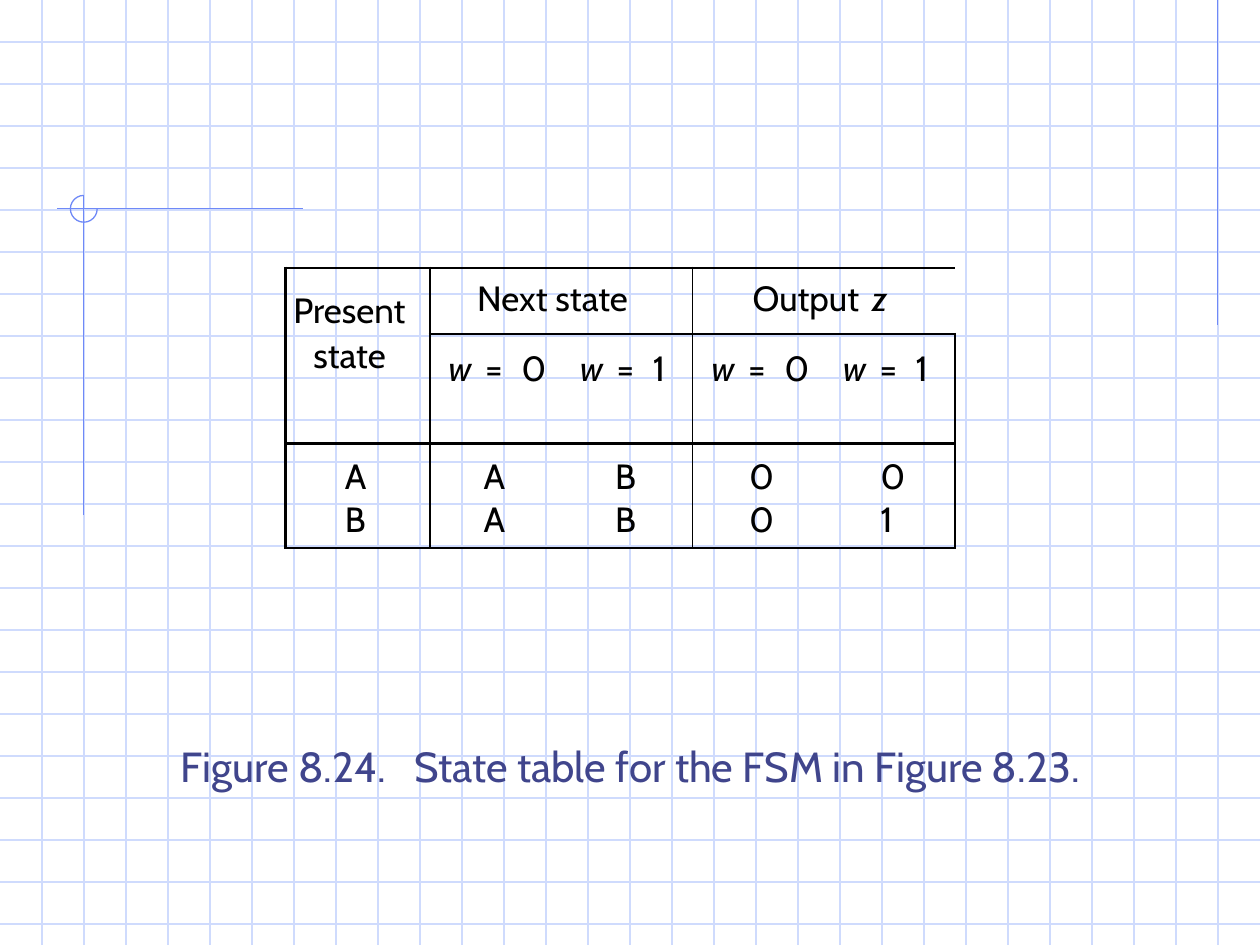
from lxml.etree import SubElement as Sub
from pptx import Presentation as Deck
from pptx.dml.color import RGBColor as Rgb
from pptx.enum.shapes import MSO_CONNECTOR as Link, MSO_SHAPE as Form
from pptx.enum.text import MSO_ANCHOR as Anchor, PP_ALIGN as Align
from pptx.oxml.ns import qn
from pptx.util import Cm, Pt

THEME = {
    "font": "Cabin", "grid": "CFDBFD", "accent": "6F89F7",
    "ink": "000000", "title": "40458C",
    "cell": 20, "head": 24, "hair": 0.75, "thin": 1.25, "thick": 1.75,
}
ITALIC = ("w", "z")

deck = Deck()
deck.slide_width, deck.slide_height = Cm(25.4), Cm(19.05)
slide = deck.slides.add_slide(deck.slide_layouts[5])
shapes = slide.shapes


def rule(x1, y1, x2, y2, color):
    line = shapes.add_connector(Link.STRAIGHT, Cm(x1), Cm(y1), Cm(x2), Cm(y2))
    line.line.color.rgb = Rgb.from_string(THEME[color])
    line.line.width = Pt(THEME["hair"])
    Sub(line.element.spPr, qn("a:effectLst"))


def write(cell, text, left, top, tabs=()):
    """Fill a cell; a newline starts a paragraph, a tab moves to the next stop."""
    pads = {"margin_left": left, "margin_top": top,
            "margin_right": 0, "margin_bottom": 0}
    for name, size in pads.items():
        setattr(cell, name, Cm(size))
    cell.vertical_anchor = Anchor.TOP
    frame = cell.text_frame
    for row, part in enumerate(text.split("\n")):
        para = frame.add_paragraph() if row else frame.paragraphs[0]
        if row:
            para.space_before = Pt(1.6)
        if tabs:
            stops = Sub(para._p.get_or_add_pPr(), qn("a:tabLst"))
            for stop in tabs:
                Sub(stops, qn("a:tab"), pos=str(Cm(stop)), algn="l")
        for spot, word in enumerate(part.split("\t")):
            run = para.add_run()
            run.text = "\t" + word if spot else word
            look = {"name": THEME["font"], "size": Pt(THEME["cell"]),
                    "italic": word in ITALIC}
            for name, value in look.items():
                setattr(run.font, name, value)
            run.font.color.rgb = Rgb.from_string(THEME["ink"])


# Graph paper: three squares to the inch
STEP = 2.54 / 3
for n in range(1, 23):
    rule(0, n * STEP, 25.4, n * STEP, "grid")
for n in range(1, 30):
    rule(n * STEP, 0, n * STEP, 19.05, "grid")

# Accent lines and the open ring where two of them cross
for ends in ((24.55, 0, 24.55, 6.55), (6.1, 4.21, 1.14, 4.21),
             (1.69, 3.94, 1.69, 10.39)):
    rule(*ends, "accent")
ring = shapes.add_shape(Form.ARC, Cm(1.42), Cm(3.94), Cm(0.54), Cm(0.54))
ring.adjustments[0] = 0
ring.adjustments[1] = 162  # 270 degrees
ring.shadow.inherit = False
ring.fill.background()
ring.line.color.rgb = Rgb.from_string(THEME["accent"])
ring.line.width = Pt(THEME["hair"])

# State table
WIDE = (2.9, 2.65, 2.65, 2.65, 2.65)
HIGH = (1.33, 1.29, 1.1, 1)
frame = shapes.add_table(len(HIGH), len(WIDE), Cm(5.76), Cm(5.4),
                         Cm(sum(WIDE)), Cm(sum(HIGH)))
table = frame.table
table.first_row = table.horz_banding = False
for col, size in zip(table.columns, WIDE):
    col.width = Cm(size)
for row, size in zip(table.rows, HIGH):
    row.height = Cm(size)

# Borders by edge number, counted from the left and from the top
UPRIGHT = {0: "thick", 1: "thin", 3: "thin", 5: "thin"}
LEVEL = {0: "thick", 2: "thick", 4: "thick"}
for r in range(len(HIGH)):
    for c in range(len(WIDE)):
        cell = table.cell(r, c)
        flat = LEVEL | ({1: "thin"} if c else {})
        props = cell._tc.get_or_add_tcPr()
        sides = {"lnL": UPRIGHT.get(c), "lnR": UPRIGHT.get(c + 1),
                 "lnT": flat.get(r), "lnB": flat.get(r + 1)}
        for side, kind in sides.items():
            edge = Sub(props, qn("a:" + side))
            if kind:
                edge.set("w", str(Pt(THEME[kind])))
                paint = Sub(edge, qn("a:solidFill"))
                Sub(paint, qn("a:srgbClr"), val=THEME["ink"])
            else:
                Sub(edge, qn("a:noFill"))
        cell.fill.background()

# Headings
for (r1, c1), (r2, c2) in (((0, 0), (1, 0)), ((0, 1), (0, 2)), ((0, 3), (0, 4))):
    table.cell(r1, c1).merge(table.cell(r2, c2))
stub = table.cell(0, 0)
write(stub, "Present\nstate", 0, 0.44)
stub.margin_right = Cm(0.33)
for para in stub.text_frame.paragraphs:
    para.alignment = Align.CENTER
write(table.cell(0, 1), "Next state", 0.96, 0.19)
write(table.cell(0, 3), "Output\tz", 1.21, 0.19, (2.41,))
for c in range(1, 5):
    write(table.cell(1, c), f"w\t=\t{(c - 1) % 2}", 0.38, 0.28, (0.74, 1.47))

# States
INDENT = (1.19, 1.09, 1.09, 1.14, 1.14)
for r, (marks, top) in enumerate((("AAB00", 0.24), ("BAB01", 0)), 2):
    for c, mark in enumerate(marks):
        write(table.cell(r, c), mark, INDENT[c], top)

# Caption, in front of the graph paper
title = shapes.title
place = {"left": 1.09, "top": 14.81, "width": 23.24, "height": 1.63}
for name, size in place.items():
    setattr(title, name, Cm(size))
box = title.text_frame
box.word_wrap = True
box.vertical_anchor = Anchor.TOP
para = box.paragraphs[0]
para.alignment = Align.CENTER
for text, gap in (("Figure 8.24.", 0), (" ", 1100),
                  ("State table for the FSM in Figure 8.23.", 0)):
    run = para.add_run()
    run.text = text
    look = {"name": THEME["font"], "size": Pt(THEME["head"])}
    for name, value in look.items():
        setattr(run.font, name, value)
    run.font.color.rgb = Rgb.from_string(THEME["title"])
    if gap:
        run._r.get_or_add_rPr().set("spc", str(gap))
shapes.element.append(title.element)

deck.save("out.pptx")
